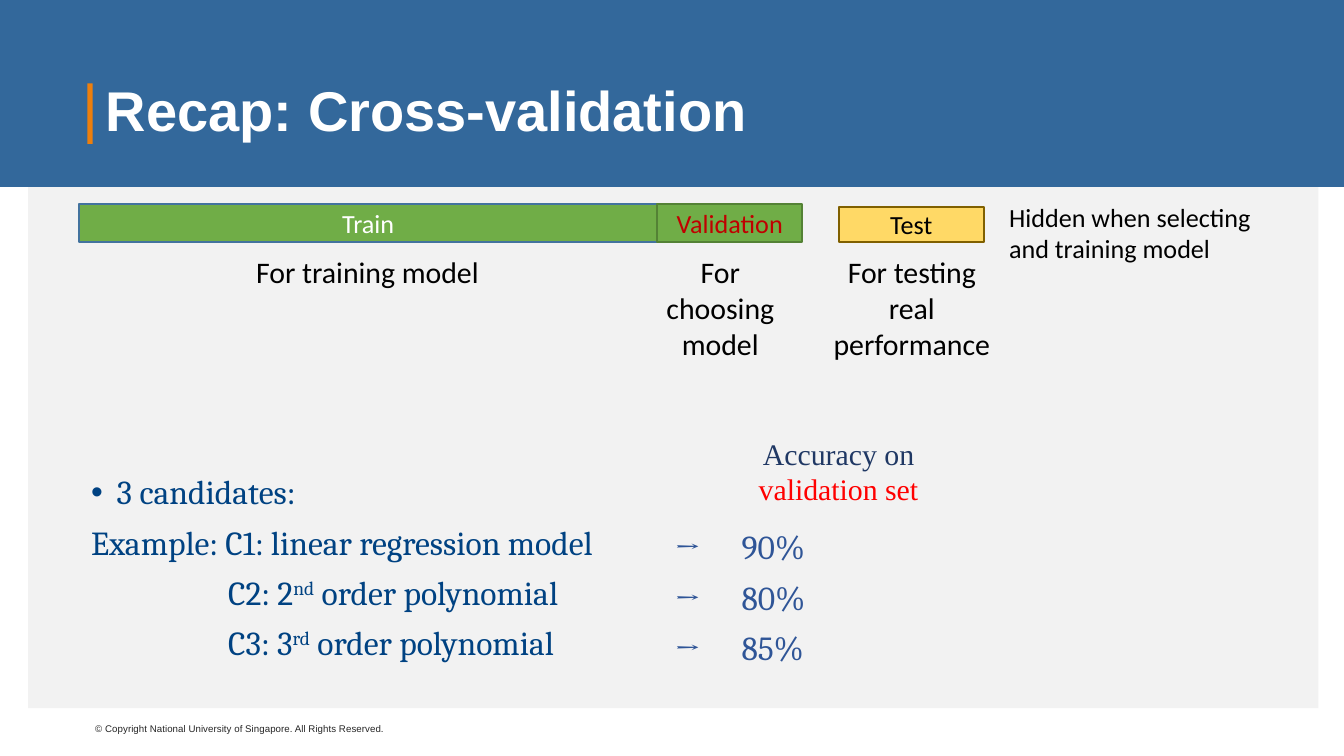
from lxml import etree
from pptx import Presentation
from pptx.dml.color import RGBColor
from pptx.enum.shapes import MSO_SHAPE
from pptx.enum.text import MSO_ANCHOR, PP_ALIGN
from pptx.oxml.ns import qn
from pptx.util import Inches, Pt

RECT = MSO_SHAPE.RECTANGLE
MIDDLE = MSO_ANCHOR.MIDDLE
LEFT, CENTER, JUSTIFY = PP_ALIGN.LEFT, PP_ALIGN.CENTER, PP_ALIGN.JUSTIFY


def rgb(code):
    return RGBColor.from_string(code)


def write(para, text, font, size, color, align=LEFT):
    para.alignment = align
    run = para.add_run()
    run.text = text
    run.font.name = font
    run.font.size = Pt(size)
    run.font.color.rgb = rgb(color)
    return run


# Widescreen page, 16 to 9
prs = Presentation()
prs.slide_width, prs.slide_height = Inches(10), Inches(10 * 9 / 16)
slide = prs.slides.add_slide(prs.slide_layouts[6])
shapes = slide.shapes

# Backdrop: grey panel, blue band, orange title mark
for x, y, w, h, fill in [
    (0.21, 1.39, 9.6, 3.88, "F2F2F2"),
    (0, 0, 10.08, 1.39, "33689B"),
    (0.65, 0.62, 0.04, 0.45, "ED7F0D"),
]:
    block = shapes.add_shape(RECT, Inches(x), Inches(y), Inches(w), Inches(h))
    block.shadow.inherit = False
    block.fill.solid()
    block.fill.fore_color.rgb = rgb(fill)
    block.line.fill.background()

# Title
box = shapes.add_textbox(Inches(0.69), Inches(0.3), Inches(8.62), Inches(1.09))
frame = box.text_frame
frame.word_wrap = True
frame.vertical_anchor = MIDDLE
para = frame.paragraphs[0]
para.line_spacing = 0.9
write(para, "Recap: Cross-validation", "Arial", 30, "FFFFFF").font.bold = True

# Data split bars
for name, x, y, w, h, fill, edge, color in [
    ("Train", 0.59, 1.52, 4.3, 0.28, "70AD47", "43739E", "FFFFFF"),
    ("Validation", 4.89, 1.52, 1.08, 0.28, "70AD47", "548235", "C00000"),
    ("Test", 6.24, 1.54, 1.08, 0.26, "FFD966", "806000", "000000"),
]:
    bar = shapes.add_shape(RECT, Inches(x), Inches(y), Inches(w), Inches(h))
    bar.shadow.inherit = False
    bar.fill.solid()
    bar.fill.fore_color.rgb = rgb(fill)
    bar.line.color.rgb = rgb(edge)
    bar.line.width = Pt(1)
    bar.text_frame.vertical_anchor = MIDDLE
    write(bar.text_frame.paragraphs[0], name, "Calibri", 14, color, CENTER)

# Captions, column heading and copyright line
for x, y, w, h, font, size, align, wrap, runs in [
    (1.36, 1.84, 2.75, 0.37, "Calibri", 16, CENTER, True,
     [("For training model", "000000")]),
    (4.81, 1.84, 1.1, 0.91, "Calibri", 16, CENTER, True,
     [("For choosing model", "000000")]),
    (6.05, 1.84, 1.47, 0.91, "Calibri", 16, CENTER, True,
     [("For testing real performance", "000000")]),
    (7.41, 1.45, 2.14, 0.57, "Calibri", 14, LEFT, True,
     [("Hidden when selecting and training model", "000000")]),
    (5.36, 3.19, 1.76, 0.64, "Times New Roman", 16, CENTER, True,
     [("Accuracy on ", "203864"), ("validation set", "FF0000")]),
    (0.61, 5.33, 2.38, 0.19, "Arial", 5.25, LEFT, False,
     [("© Copyright National University of Singapore. All Rights Reserved.",
       "262626")]),
]:
    box = shapes.add_textbox(Inches(x), Inches(y), Inches(w), Inches(h))
    box.text_frame.word_wrap = wrap
    for text, color in runs:
        write(box.text_frame.paragraphs[0], text, font, size, color, align)

# Candidate list and its scores: margin, indent, bullet, tab, runs per line
models = [
    (0.19, -0.19, "•", None, ["3 candidates:"]),
    (0, 0, None, None, ["Example: C1: linear regression model"]),
    (1.02, 0, None, None, ["C2: 2", "nd", " order polynomial"]),
    (1.02, 0, None, None, ["C3: 3", "rd", " order polynomial"]),
]
scores = [(0, 0, None, 1, [f"→\t{score}%"]) for score in (90, 80, 85)]

for x, y, w, h, color, align, lines in [
    (0.58, 3.49, 4.67, 1.59, "004282", JUSTIFY, models),
    (4.92, 3.9, 2.08, 1.14, "2F5597", LEFT, scores),
]:
    box = shapes.add_textbox(Inches(x), Inches(y), Inches(w), Inches(h))
    frame = box.text_frame
    frame.word_wrap = True
    for row, (margin, indent, bullet, tab, texts) in enumerate(lines):
        para = frame.add_paragraph() if row else frame.paragraphs[0]
        props = para._p.get_or_add_pPr()
        props.set("marL", str(Inches(margin)))
        props.set("indent", str(Inches(indent)))
        if bullet:
            etree.SubElement(props, qn("a:buFont")).set("typeface", "Arial")
            etree.SubElement(props, qn("a:buChar")).set("char", bullet)
        if tab:
            stops = etree.SubElement(props, qn("a:tabLst"))
            stop = etree.SubElement(stops, qn("a:tab"))
            stop.set("pos", str(Inches(tab)))
            stop.set("algn", "l")
        para.line_spacing = 0.9
        if row:
            para.space_before = Pt(7.5)
        for text in texts:
            run = write(para, text, "Cambria", 18, color, align)
            if text in ("nd", "rd"):
                run._r.get_or_add_rPr().set("baseline", "30000")

prs.save("out.pptx")
